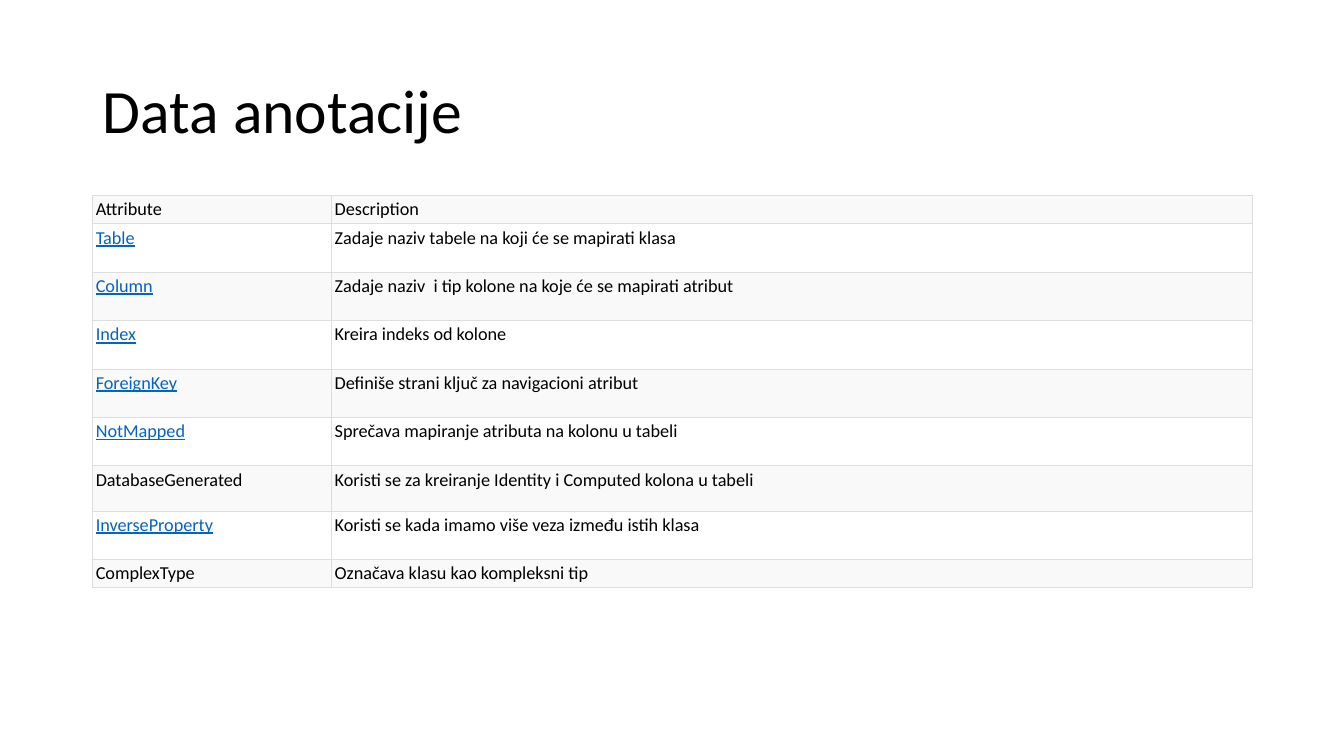
from lxml import etree
from pptx import Presentation
from pptx.dml.color import RGBColor
from pptx.enum import text
from pptx.oxml.ns import qn
from pptx.util import Inches, Pt

LINKED = {"Table", "Column", "Index", "ForeignKey", "NotMapped", "InverseProperty"}
ROWS = [
    ("Attribute", "Description", 0.28),
    ("Table", "Zadaje naziv tabele na koji će se mapirati klasa", 0.48),
    ("Column", "Zadaje naziv  i tip kolone na koje će se mapirati atribut", 0.48),
    ("Index", "Kreira indeks od kolone", 0.48),
    ("ForeignKey", "Definiše strani ključ za navigacioni atribut", 0.48),
    ("NotMapped", "Sprečava mapiranje atributa na kolonu u tabeli", 0.48),
    ("DatabaseGenerated", "Koristi se za kreiranje Identity i Computed kolona u tabeli", 0.45),
    ("InverseProperty", "Koristi se kada imamo više veza između istih klasa", 0.48),
    ("ComplexType", "Označava klasu kao kompleksni tip", 0.28),
]


def write(tf, content, size=13, color="000000", underline=False, spacing=1.0):
    p = tf.paragraphs[0]
    p.alignment = text.PP_ALIGN.LEFT
    p.line_spacing = spacing
    r = p.add_run()
    r.text = content
    r.font.name = "Calibri"
    r.font.size = Pt(size)
    r.font.bold = False
    r.font.underline = underline
    r.font.color.rgb = RGBColor.from_string(color)


def style_cell(cell, fill, border="DDDDDD"):
    """Set narrow margins, a thin border on all four sides and a solid fill."""
    cell.margin_left = cell.margin_right = Inches(0.03)
    cell.margin_top = cell.margin_bottom = Inches(0.03)
    tcPr = cell._tc.get_or_add_tcPr()
    for side in ("a:lnL", "a:lnR", "a:lnT", "a:lnB"):
        ln = etree.SubElement(tcPr, qn(side), w=str(Pt(0.6)))
        solid = etree.SubElement(ln, qn("a:solidFill"))
        etree.SubElement(solid, qn("a:srgbClr"), val=border)
    cell.fill.solid()
    cell.fill.fore_color.rgb = RGBColor.from_string(fill)


prs = Presentation()
prs.slide_width, prs.slide_height = Inches(13.33), Inches(7.5)
s = prs.slides.add_slide(prs.slide_layouts[5])

title = s.shapes.title
title.left, title.top = Inches(0.92), Inches(0.4)
title.width, title.height = Inches(11.5), Inches(1.45)
title.text_frame.vertical_anchor = text.MSO_ANCHOR.MIDDLE
title.text_frame.auto_size = text.MSO_AUTO_SIZE.NONE
write(title.text_frame, "Data anotacije", size=44, spacing=0.9)

table = s.shapes.add_table(len(ROWS), 2, Inches(0.92), Inches(1.94),
                           Inches(11.5), Inches(3.89)).table
table.first_row = table.horz_banding = False
table.columns[0].width = Inches(2.37)
table.columns[1].width = Inches(9.13)

for i, (attribute, description, height) in enumerate(ROWS):
    table.rows[i].height = Inches(height)
    for j, content in enumerate((attribute, description)):
        cell = table.cell(i, j)
        style_cell(cell, "FFFFFF" if i % 2 else "F9F9F9")
        linked = content in LINKED
        write(cell.text_frame, content, underline=linked,
              color="0563C1" if linked else "000000")

prs.save("out.pptx")
